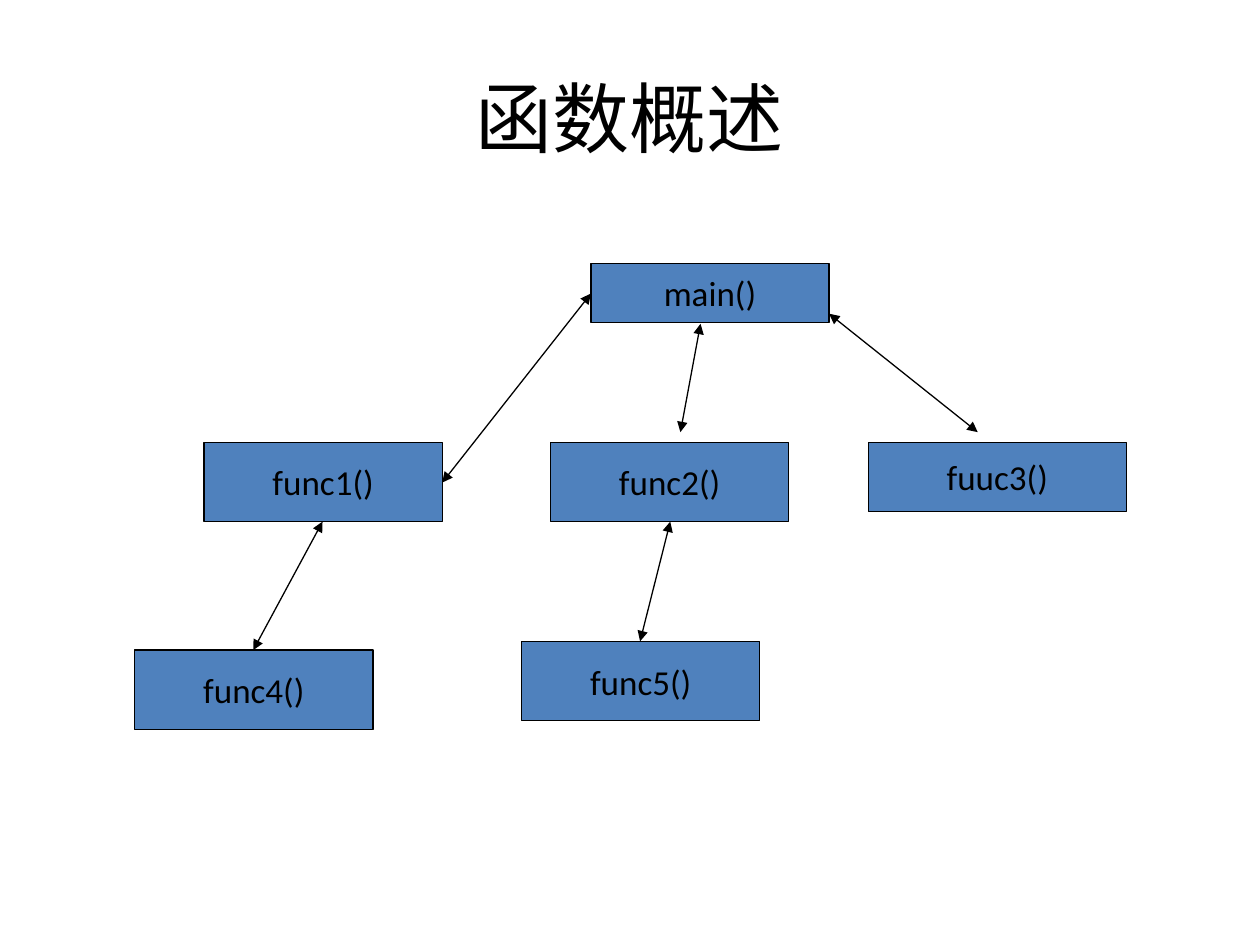
from typing import NamedTuple

from lxml import etree
from pptx import Presentation
from pptx.dml.color import RGBColor
from pptx.enum.shapes import MSO_CONNECTOR, MSO_SHAPE
from pptx.enum.text import MSO_ANCHOR, PP_ALIGN
from pptx.oxml.ns import qn
from pptx.slide import Slide
from pptx.text.text import TextFrame
from pptx.util import Inches, Pt

RECT = MSO_SHAPE.RECTANGLE
LINE = MSO_CONNECTOR.STRAIGHT
MIDDLE = MSO_ANCHOR.MIDDLE
CENTER = PP_ALIGN.CENTER
BLACK = RGBColor(0x00, 0x00, 0x00)
BLUE = RGBColor(0x4F, 0x81, 0xBD)
FONT = "Calibri"
STROKE = Pt(0.75)


class Box(NamedTuple):
    """A function box, in inches."""
    name: str
    left: float
    top: float
    width: float = 1.89
    height: float = 0.63


class Call(NamedTuple):
    """A two-way arrow between caller and callee, in inches."""
    x1: float
    y1: float
    x2: float
    y2: float


BOXES = [
    Box("main()", 4.69, 2.09, height=0.47),
    Box("fuuc3()", 6.89, 3.51, 2.05, 0.55),
    Box("func2()", 4.37, 3.51),
    Box("func1()", 1.62, 3.51),
    Box("func4()", 1.07, 5.16),
    Box("func5()", 4.14, 5.09),
]
CALLS = [
    Call(4.69, 2.33, 3.51, 3.83),
    Call(5.56, 2.57, 5.4, 3.43),
    Call(6.58, 2.49, 7.76, 3.43),
    Call(2.56, 4.14, 2.01, 5.16),
    Call(5.32, 4.14, 5.08, 5.09),
]


def add_text(frame: TextFrame, text: str, size: int, wrap: bool) -> None:
    """Write one centred line into a text frame."""
    frame.word_wrap = wrap
    frame.vertical_anchor = MIDDLE
    line = frame.paragraphs[0]
    line.alignment = CENTER
    run = line.add_run()
    run.text = text
    run.font.size = Pt(size)
    run.font.name = FONT
    run.font.color.rgb = BLACK


def add_title(slide: Slide, text: str) -> None:
    """Add the slide heading."""
    title = slide.shapes.add_textbox(
        Inches(0.5), Inches(0.3), Inches(9), Inches(1.25))
    add_text(title.text_frame, text, 44, True)


def add_box(slide: Slide, box: Box) -> None:
    """Draw a function box with its name."""
    shape = slide.shapes.add_shape(
        RECT, Inches(box.left), Inches(box.top),
        Inches(box.width), Inches(box.height))
    shape.shadow.inherit = False
    shape.fill.solid()
    shape.fill.fore_color.rgb = BLUE
    shape.line.color.rgb = BLACK
    shape.line.width = STROKE
    add_text(shape.text_frame, box.name, 20, False)


def add_call(slide: Slide, call: Call) -> None:
    """Draw an arrow with a head at both ends."""
    arrow = slide.shapes.add_connector(LINE, *map(Inches, call))
    arrow.line.color.rgb = BLACK
    arrow.line.width = STROKE
    props = arrow.element.spPr
    stroke = props.find(qn("a:ln"))
    for end in ("a:headEnd", "a:tailEnd"):
        etree.SubElement(stroke, qn(end), type="triangle")
    etree.SubElement(props, qn("a:effectLst"))


def main() -> None:
    """Build the call diagram and save it."""
    deck = Presentation()
    deck.slide_width = Inches(10)
    deck.slide_height = Inches(7.5)
    slide = deck.slides.add_slide(deck.slide_layouts[6])
    add_title(slide, "函数概述")
    for box in BOXES:
        add_box(slide, box)
    for call in CALLS:
        add_call(slide, call)
    deck.save("out.pptx")


main()
